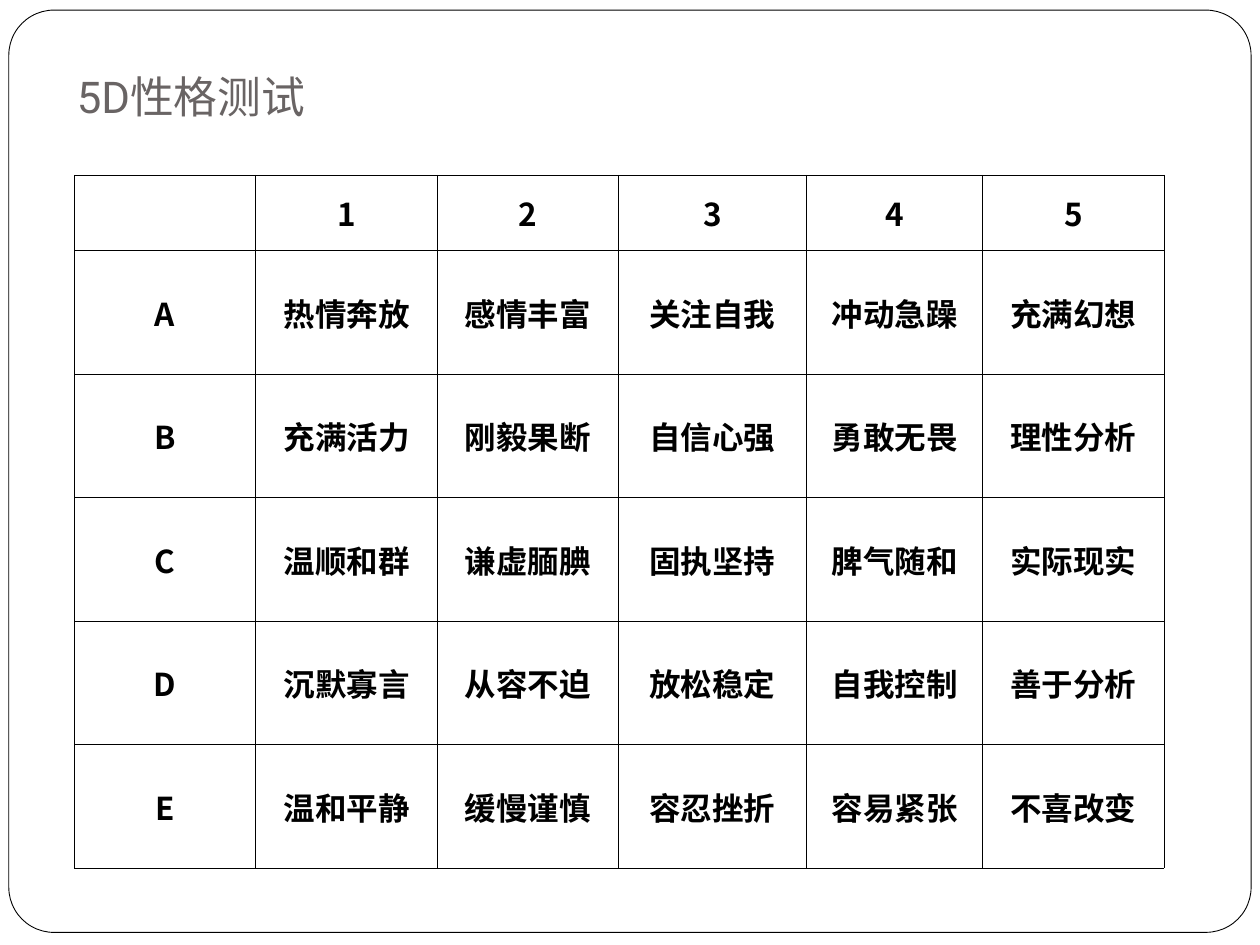
from lxml import etree
from pptx import Presentation
from pptx.dml.color import RGBColor
from pptx.enum.shapes import MSO_SHAPE
from pptx.enum.text import MSO_ANCHOR, PP_ALIGN
from pptx.oxml.ns import qn
from pptx.util import Inches, Pt

ROUND_RECT = MSO_SHAPE.ROUNDED_RECTANGLE
MIDDLE, BOTTOM = MSO_ANCHOR.MIDDLE, MSO_ANCHOR.BOTTOM
LEFT, CENTER = PP_ALIGN.LEFT, PP_ALIGN.CENTER

CJK_FONT, TITLE_FONT = "Noto Sans CJK SC", "Roboto"
BLACK, WHITE, GREY = "000000", "FFFFFF", "696464"

COL_WIDTHS = [1.44, 1.44, 1.44, 1.49, 1.4, 1.44]
HEADER_HEIGHT, ROW_HEIGHT = 0.6, 0.98
TRAITS = {
    "A": ["热情奔放", "感情丰富", "关注自我", "冲动急躁", "充满幻想"],
    "B": ["充满活力", "刚毅果断", "自信心强", "勇敢无畏", "理性分析"],
    "C": ["温顺和群", "谦虚腼腆", "固执坚持", "脾气随和", "实际现实"],
    "D": ["沉默寡言", "从容不迫", "放松稳定", "自我控制", "善于分析"],
    "E": ["温和平静", "缓慢谨慎", "容忍挫折", "容易紧张", "不喜改变"],
}


def rgb(value):
    return RGBColor.from_string(value)


def add_run(p, text, size, font, color, bold=False):
    r = p.add_run()
    r.text = text
    r.font.size, r.font.bold, r.font.name = Pt(size), bold, font
    r.font.color.rgb = rgb(color)
    ea = etree.SubElement(r.font._element, qn("a:ea"))
    ea.set("typeface", CJK_FONT)


def set_borders(cell, color, width):
    tc_pr = cell._tc.get_or_add_tcPr()
    for side in ("lnL", "lnR", "lnT", "lnB"):
        ln = etree.SubElement(tc_pr, qn(f"a:{side}"), w=str(Pt(width)))
        fill = etree.SubElement(ln, qn("a:solidFill"))
        etree.SubElement(fill, qn("a:srgbClr"), val=color)


def add_frame(slide, box):
    """Draw the rounded page border behind everything else."""
    sp = slide.shapes.add_shape(ROUND_RECT, *map(Inches, box))
    sp.adjustments[0] = 0.049
    sp.shadow.inherit = False
    sp.fill.solid()
    sp.fill.fore_color.rgb = rgb(WHITE)
    sp.line.color.rgb = rgb(BLACK)
    sp.line.width = Pt(0.5)
    slide.shapes._spTree.insert(2, sp._element)


def add_title(slide, box, text):
    title = slide.shapes.title
    title.left, title.top, title.width, title.height = map(Inches, box)
    tf = title.text_frame
    tf.word_wrap = True
    tf.vertical_anchor = BOTTOM
    tf.margin_left = tf.margin_right = tf.margin_bottom = Inches(0.1)
    tf.margin_top = Inches(0.05)
    p = tf.paragraphs[0]
    p.alignment = LEFT
    add_run(p, text, 25, TITLE_FONT, GREY)


def add_trait_table(slide, left, top):
    rows = [["", *"12345"]] + [[key, *traits] for key, traits in TRAITS.items()]
    heights = [HEADER_HEIGHT] + [ROW_HEIGHT] * len(TRAITS)
    box = (left, top, sum(COL_WIDTHS), sum(heights))
    table = slide.shapes.add_table(
        len(rows), len(COL_WIDTHS), *map(Inches, box)).table
    table.first_row = table.horz_banding = False
    for column, width in zip(table.columns, COL_WIDTHS):
        column.width = Inches(width)
    for row, height, texts in zip(table.rows, heights, rows):
        row.height = Inches(height)
        for cell, text in zip(row.cells, texts):
            set_borders(cell, BLACK, 0.45)
            cell.fill.solid()
            cell.fill.fore_color.rgb = rgb(WHITE)
            cell.vertical_anchor = MIDDLE
            if text:
                p = cell.text_frame.paragraphs[0]
                p.alignment = CENTER
                add_run(p, text, 18, CJK_FONT, BLACK, bold=True)


def main():
    prs = Presentation()
    prs.slide_width, prs.slide_height = Inches(10), Inches(7.5)
    slide = prs.slides.add_slide(prs.slide_layouts[5])
    add_frame(slide, (0.07, 0.08, 9.86, 7.32))
    add_title(slide, (0.51, 0.52, 7.4, 0.55), "5D性格测试")
    add_trait_table(slide, 0.59, 1.39)
    prs.save("out.pptx")


if __name__ == "__main__":
    main()
